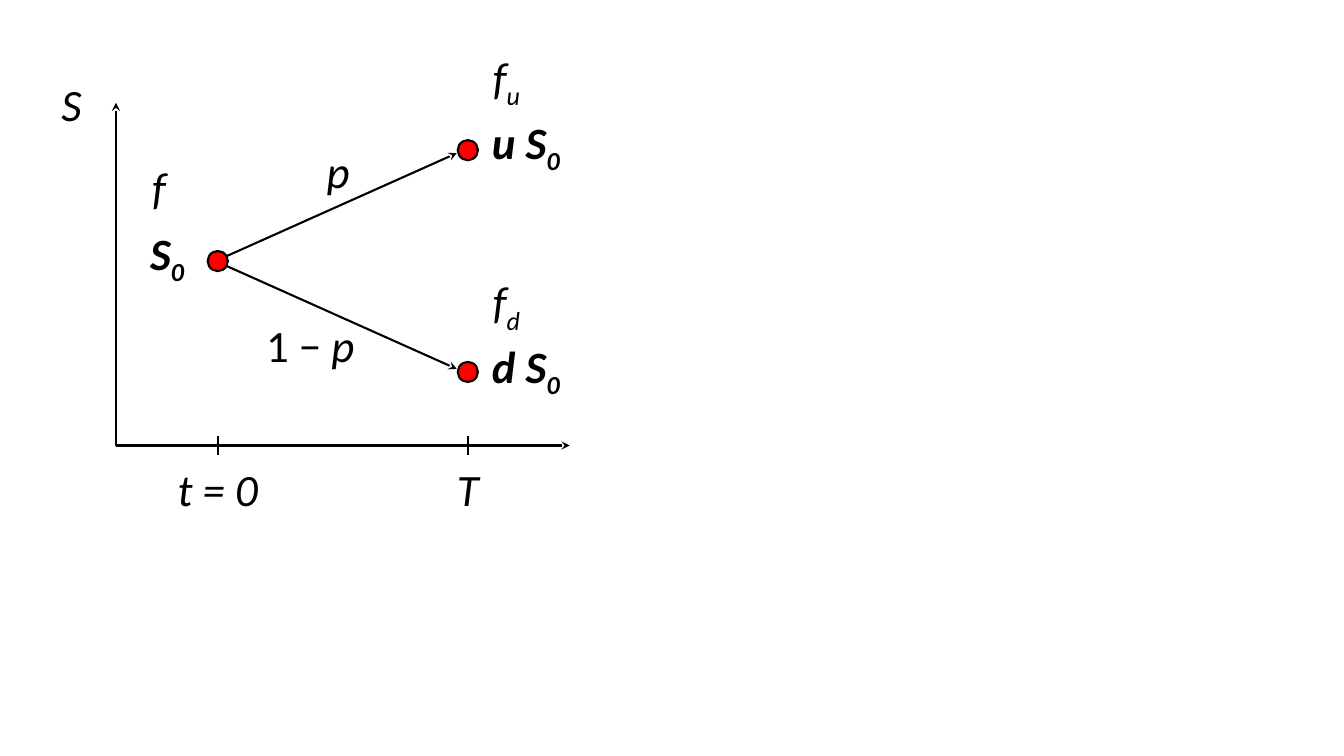
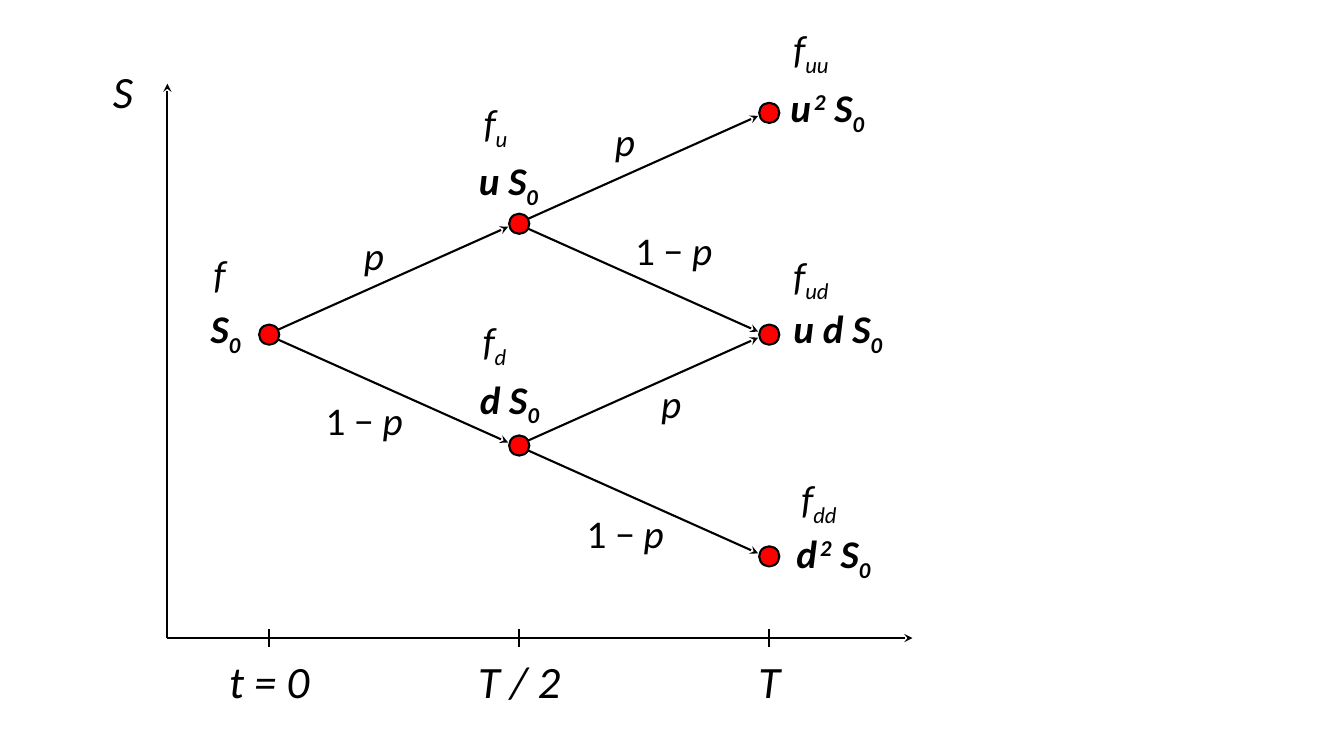
from lxml import etree
from pptx import Presentation
from pptx.dml.color import RGBColor
from pptx.enum import shapes, text
from pptx.oxml import ns
from pptx.util import Inches, Pt

# Content
# Labels are runs split by "|": "_" lowers, "^" raises, "=" is upright, "~" is small.
# Nodes: (column, level): (value, its offset, option price, its offset).
# Moves: (from, to): (probability, its offset from the middle of the arrow).
UP, DOWN = "p", "=1 −| p"
TREES = [
    {
        "root": (2.16, 2.59), "label_size": 32,
        "origin": (1.15, 4.42), "axis_ends": (5.65, 1.02), "name_rise": 0.31,
        "times": ["t = 0", "T"],
        "nodes": {
            (0, 0): ("S|_0", (-0.77, -0.4), "f", (-0.75, -1.05)),
            (1, 1): ("u S|_0", (0.14, -0.4), "f|_u", (0.15, -1.05)),
            (1, -1): ("d S|_0", (0.14, -0.38), "f|_d", (0.15, -1.02)),
        },
        "moves": {
            ((0, 0), (1, 1)): (UP, (-0.26, -0.66)),
            ((0, 0), (1, -1)): (DOWN, (-0.86, -0.04)),
        },
    },
    {
        "root": (2.67, 3.32), "label_size": 28,
        "origin": (1.66, 6.33), "axis_ends": (9.05, 0.83), "name_rise": 0.25,
        "times": ["t = 0", "T / 2", "T"],
        "nodes": {
            (0, 0): ("S|_0", (-0.68, -0.35), "f", (-0.65, -0.9)),
            (1, 1): ("u S|_0", (-0.5, -0.72), "f|_u", (-0.45, -1.29)),
            (1, -1): ("d S|_0", (-0.49, -0.75), "f|_d", (-0.46, -1.33)),
            (2, 2): ("u|~ |^2| S|_0", (0.11, -0.34), "f|_uu", (0.14, -0.93)),
            (2, 0): ("u d S|_0", (0.14, -0.35), "f|_ud", (0.14, -0.88)),
            (2, -2): ("d|~ |^2| S|_0", (0.17, -0.32), "f|_dd", (0.22, -0.86)),
        },
        "moves": {
            ((0, 0), (1, 1)): (UP, (-0.4, -0.52)),
            ((0, 0), (1, -1)): (DOWN, (-0.78, 0.01)),
            ((1, 1), (2, 2)): (UP, (-0.39, -0.56)),
            ((1, 1), (2, 0)): (DOWN, (-0.19, -0.57)),
            ((1, -1), (2, 0)): (UP, (0.07, -0.16)),
            ((1, -1), (2, -2)): (DOWN, (-0.67, 0.03)),
        },
    },
]

# Shared style and grid
FONT, INK, DOT = "Calibri", "000000", "FF0000"
LINE_WIDTH, AXIS_SIZE, SMALL_SIZE = 1.5, 32, 10
COLUMN, LEVEL = 2.48, 1.1
DOT_SIZE, TICK = 0.2, 0.18
VALUE_WIDTHS = (0.77, 0.98, 1.25)
OPTION_WIDTH, TIME_WIDTH, NAME_WIDTH = 0.77, 1.1, 0.51
CHANCE_WIDTHS = {UP: 0.51, DOWN: 1.15}
BASELINES = {"_": "-25000", "^": "30000"}


def color(value):
    return RGBColor.from_string(value)


def shift(point, offset):
    return point[0] + offset[0], point[1] + offset[1]


def add_label(slide, label, corner, width, size, bold=False, align=text.PP_ALIGN.LEFT):
    box = slide.shapes.add_textbox(*map(Inches, (*corner, width, size * 0.02)))
    frame = box.text_frame
    frame.word_wrap = True
    frame.auto_size = text.MSO_AUTO_SIZE.SHAPE_TO_FIT_TEXT
    paragraph = frame.paragraphs[0]
    paragraph.alignment = align
    for part in label.split("|"):
        # "=" inside "t = 0" is plain text: only a first character is a mark
        mark = part[0] if part[0] in "_^=~" else ""
        run = paragraph.add_run()
        run.text = part[len(mark):]
        style = {"name": FONT, "size": Pt(SMALL_SIZE if mark == "~" else size),
                 "bold": bold, "italic": mark != "="}
        for key, value in style.items():
            setattr(run.font, key, value)
        run.font.color.rgb = color(INK)
        if mark in BASELINES:
            run.font._element.set("baseline", BASELINES[mark])


def add_line(slide, start, end, arrow=False):
    line = slide.shapes.add_connector(
        shapes.MSO_CONNECTOR.STRAIGHT, *map(Inches, (*start, *end)))
    line.line.width = Pt(LINE_WIDTH)
    line.line.color.rgb = color(INK)
    if arrow:
        etree.SubElement(line.line._get_or_add_ln(), ns.qn("a:tailEnd"), type="stealth")
    etree.SubElement(line._element.spPr, ns.qn("a:effectLst"))


def add_dot(slide, center):
    corner = shift(center, (-DOT_SIZE / 2, -DOT_SIZE / 2))
    dot = slide.shapes.add_shape(
        shapes.MSO_SHAPE.OVAL, *map(Inches, (*corner, DOT_SIZE, DOT_SIZE)))
    dot.shadow.inherit = False
    dot.fill.solid()
    dot.fill.fore_color.rgb = color(DOT)
    dot.line.color.rgb = color(INK)
    dot.line.width = Pt(LINE_WIDTH)


def add_axes(slide, tree):
    left, base = tree["origin"]
    right, top = tree["axis_ends"]
    add_line(slide, (left, base), (right, base), arrow=True)
    add_line(slide, (left, base), (left, top), arrow=True)
    add_label(slide, "S", (left - 0.64, top - tree["name_rise"]), NAME_WIDTH, AXIS_SIZE)
    for column, time in enumerate(tree["times"]):
        x = tree["root"][0] + column * COLUMN
        add_line(slide, (x, base - TICK / 2), (x, base + TICK / 2))
        add_label(slide, time, (x - TIME_WIDTH / 2, base + 0.11), TIME_WIDTH,
                  AXIS_SIZE, align=text.PP_ALIGN.CENTER)


def add_tree(slide, tree):
    size = tree["label_size"]
    centers = {node: shift(tree["root"], (node[0] * COLUMN, -node[1] * LEVEL))
               for node in tree["nodes"]}
    # Arrows and probabilities
    for (source, target), (chance, offset) in tree["moves"].items():
        start, end = centers[source], centers[target]
        way = 1 if end[1] > start[1] else -1
        add_line(slide, shift(start, (0.09, 0.05 * way)),
                 shift(end, (-0.11, -0.03 * way)), arrow=True)
        middle = ((start[0] + end[0]) / 2, (start[1] + end[1]) / 2)
        add_label(slide, chance, shift(middle, offset), CHANCE_WIDTHS[chance], size)
    # Dots, stock values and option prices
    for node, (value, value_offset, option, option_offset) in tree["nodes"].items():
        center = centers[node]
        add_dot(slide, center)
        add_label(slide, value, shift(center, value_offset),
                  VALUE_WIDTHS[node[0]], size, bold=True)
        add_label(slide, option, shift(center, option_offset), OPTION_WIDTH, size)


# Build
presentation = Presentation()
presentation.slide_width, presentation.slide_height = Inches(13.33), Inches(7.5)
for tree in TREES:
    slide = presentation.slides.add_slide(presentation.slide_layouts[6])
    add_axes(slide, tree)
    add_tree(slide, tree)
presentation.save("out.pptx")
